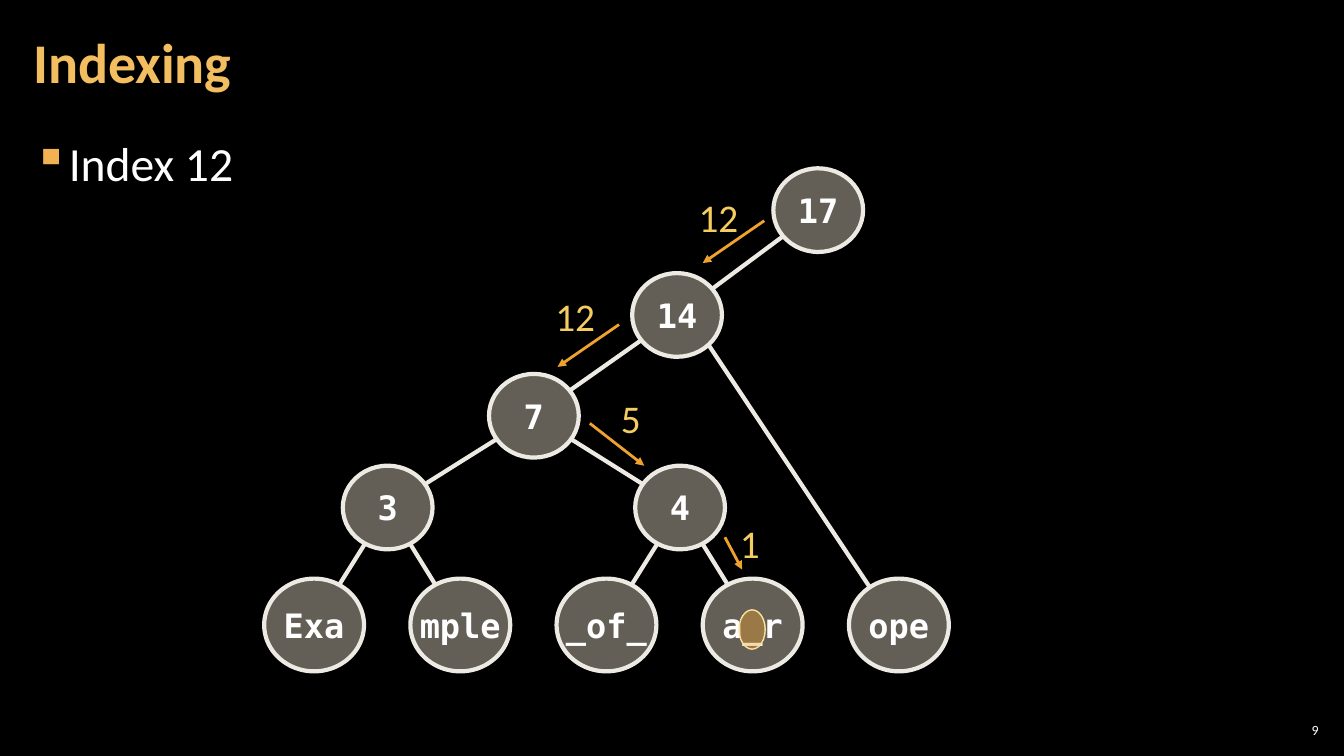
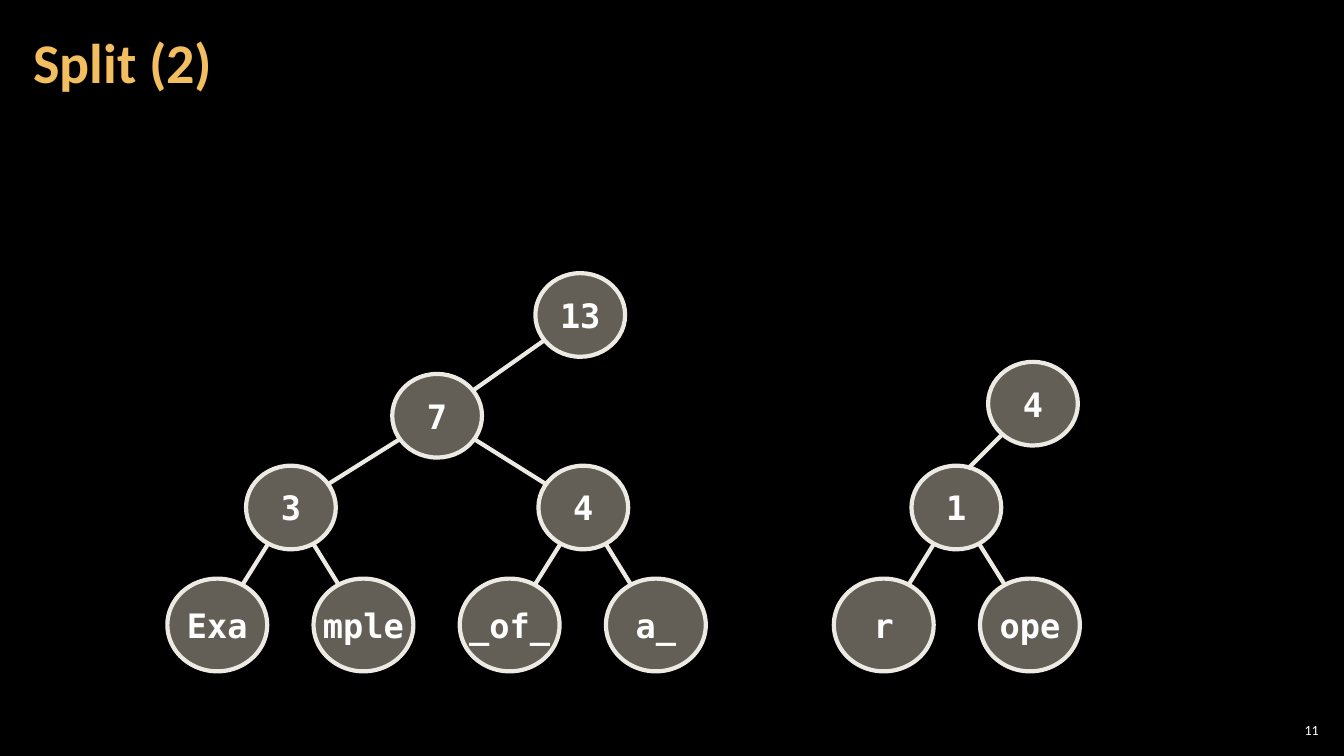
from dataclasses import dataclass
from math import hypot

from lxml.etree import SubElement
from pptx import Presentation
from pptx.dml.color import RGBColor
from pptx.enum.shapes import MSO_CONNECTOR as Connector, MSO_SHAPE as Preset
from pptx.enum.text import MSO_ANCHOR as Anchor, MSO_AUTO_SIZE as AutoSize, PP_ALIGN as Align
from pptx.oxml.ns import qn
from pptx.util import Inches, Pt

COLORS = {
    "background": "000000",
    "title": "F3BE60",
    "text": "FFFFFF",
    "bullet": "F2B254",
    "node": "C7BFAC",
    "edge": "ECEAE3",
    "arrow": "F0A22E",
    "label": "F3CD60",
    "marker_rim": "F8E19F",
}
BODY_FONT = "Calibri"
NODE_FONT = "DejaVu Sans Mono"
LEAF_TOP = 5.74
INNER_TOP = 4.62
LEAF_PITCH = 1.45


@dataclass(frozen=True)
class Node:
    text: str
    left: float
    top: float
    width: float = 0.89
    height: float = 0.83

    @property
    def center(self) -> tuple[float, float]:
        return self.left + self.width / 2, self.top + self.height / 2

    def rim_toward(self, other: "Node") -> tuple[float, float]:
        x, y = self.center
        dx, dy = other.center[0] - x, other.center[1] - y
        scale = 1 / hypot(dx / (self.width / 2), dy / (self.height / 2))
        return x + dx * scale, y + dy * scale


@dataclass(frozen=True)
class Line:
    start: tuple[float, float]
    end: tuple[float, float]


@dataclass(frozen=True)
class Step:
    text: str
    left: float
    top: float
    width: float
    arrow: Line


@dataclass(frozen=True)
class Tree:
    nodes: list[Node]
    edges: list[tuple[Node, Node]]


STEPS = [
    Step("12", 6.83, 1.87, 0.6, Line((7.58, 2.19), (6.97, 2.61))),
    Step("12", 5.41, 2.85, 0.6, Line((6.14, 3.22), (5.53, 3.64))),
    Step("5", 6.06, 3.86, 0.4, Line((5.85, 4.2), (6.39, 4.62))),
    Step("1", 7.24, 5.1, 0.4, Line((7.19, 5.33), (7.36, 5.65))),
]


def rgb(name: str) -> RGBColor:
    return RGBColor.from_string(COLORS[name])


def leaf(text: str, left: float) -> Node:
    return Node(text, left, LEAF_TOP, 0.99, 0.92)


def left_tree(left: float, root_text: str, last_leaf: str) -> Tree:
    texts = ["Exa", "mple", "_of_", last_leaf]
    leaves = [leaf(text, left + i * LEAF_PITCH) for i, text in enumerate(texts)]
    three = Node("3", left + 0.78, INNER_TOP)
    four = Node("4", left + 3.68, INNER_TOP)
    seven = Node("7", left + 2.23, 3.71)
    root = Node(root_text, left + 3.65, 2.71)
    edges = [(root, seven), (seven, three), (seven, four)]
    edges += [(three, child) for child in leaves[:2]]
    edges += [(four, child) for child in leaves[2:]]
    return Tree([root, seven, three, four, *leaves], edges)


def add_span(para, text: str, size: float, color: str, font: str = BODY_FONT, bold: bool = False) -> None:
    span = para.add_run()
    span.text = text
    span.font.name = font
    span.font.size = Pt(size)
    span.font.bold = bold
    span.font.color.rgb = rgb(color)


def set_insets(frame, across: float, down: float) -> None:
    frame.margin_left = frame.margin_right = Inches(across)
    frame.margin_top = frame.margin_bottom = Inches(down)


def add_box(page, left: float, top: float, width: float, height: float):
    return page.shapes.add_textbox(Inches(left), Inches(top), Inches(width), Inches(height))


def add_ellipse(page, node: Node, fill: str, percent: int, rim: str, rim_width: float):
    shape = page.shapes.add_shape(
        Preset.OVAL, Inches(node.left), Inches(node.top), Inches(node.width), Inches(node.height)
    )
    shape.shadow.inherit = False
    shape.fill.solid()
    shape.fill.fore_color.rgb = rgb(fill)
    color = shape.element.spPr.find(qn("a:solidFill")).find(qn("a:srgbClr"))
    SubElement(color, qn("a:alpha"), val=str(percent * 1000))
    shape.line.color.rgb = rgb(rim)
    shape.line.width = Pt(rim_width)
    return shape


def add_node(page, node: Node) -> None:
    frame = add_ellipse(page, node, "node", 50, "edge", 3).text_frame
    frame.word_wrap = False
    frame.vertical_anchor = Anchor.MIDDLE
    para = frame.paragraphs[0]
    para.alignment = Align.CENTER
    add_span(para, node.text, 24, "text", NODE_FONT, True)


def add_line(page, line: Line, color: str, width: float, arrow: bool = False) -> None:
    points = [Inches(value) for value in (*line.start, *line.end)]
    connector = page.shapes.add_connector(Connector.STRAIGHT, *points)
    connector.line.color.rgb = rgb(color)
    connector.line.width = Pt(width)
    properties = connector.element.spPr
    if arrow:
        SubElement(properties.find(qn("a:ln")), qn("a:tailEnd"), type="triangle")
    SubElement(properties, qn("a:effectLst"))


def add_tree(page, tree: Tree) -> None:
    for node in tree.nodes:
        add_node(page, node)
    for parent, child in tree.edges:
        add_line(page, Line(parent.rim_toward(child), child.rim_toward(parent)), "edge", 3)


def add_step(page, step: Step) -> None:
    add_line(page, step.arrow, "arrow", 2, True)
    frame = add_box(page, step.left, step.top, step.width, 0.57).text_frame
    frame.word_wrap = False
    frame.auto_size = AutoSize.SHAPE_TO_FIT_TEXT
    add_span(frame.paragraphs[0], step.text, 28, "label")


def add_bullet(page, text: str) -> None:
    frame = add_box(page, 0.21, 1.26, 12.91, 6.09).text_frame
    frame.word_wrap = True
    set_insets(frame, 0.12, 0.04)
    para = frame.paragraphs[0]
    para.line_spacing = 1.05
    para.space_before = para.space_after = Pt(6)
    add_span(para, text, 34, "text")
    properties = para._p.get_or_add_pPr()
    properties.set("marL", str(Inches(0.33)))
    properties.set("indent", str(-Inches(0.33)))
    color = SubElement(properties, qn("a:buClr"))
    SubElement(color, qn("a:srgbClr"), val=COLORS["bullet"])
    SubElement(properties, qn("a:buChar"), char="▪")


def add_page(deck, title: str, number: int):
    page = deck.slides.add_slide(deck.slide_layouts[5])
    holder = page.shapes.title
    holder.left, holder.top = Inches(0.21), Inches(0.04)
    holder.width, holder.height = Inches(10.47), Inches(1.21)
    frame = holder.text_frame
    frame.word_wrap = True
    frame.auto_size = AutoSize.NONE
    frame.vertical_anchor = Anchor.MIDDLE
    set_insets(frame, 0.12, 0.04)
    para = frame.paragraphs[0]
    para.alignment = Align.LEFT
    para.line_spacing = 0.9
    add_span(para, title, 40, "title", bold=True)

    footer = add_box(page, 12.65, 7.14, 0.47, 0.21).text_frame
    footer.word_wrap = True
    footer.vertical_anchor = Anchor.MIDDLE
    set_insets(footer, 0.04, 0.04)
    footer.paragraphs[0].alignment = Align.RIGHT
    add_span(footer.paragraphs[0], str(number), 10, "text")
    return page


def build_indexing(deck) -> None:
    page = add_page(deck, "Indexing", 9)
    add_bullet(page, "Index 12")
    left = 2.62
    tree = left_tree(left, "14", "a_r")
    root = Node("17", 7.67, 1.67)
    last = leaf("ope", left + 4 * LEAF_PITCH)
    add_tree(page, Tree([*tree.nodes, last, root], [*tree.edges, (root, tree.nodes[0])]))
    add_line(page, Line((7.02, 3.41), (8.63, 5.83)), "edge", 3)
    add_ellipse(page, Node("", 7.33, 6.05, 0.26, 0.39), "arrow", 40, "marker_rim", 1)
    for step in STEPS:
        add_step(page, step)


def build_split(deck) -> None:
    page = add_page(deck, "Split (2)", 11)
    add_tree(page, left_tree(1.66, "13", "a_"))
    leaves = [leaf(text, 8.27 + i * LEAF_PITCH) for i, text in enumerate(["r", "ope"])]
    one = Node("1", 9.04, INNER_TOP)
    root = Node("4", 9.8, 3.59)
    add_tree(page, Tree([root, one, *leaves], [(one, child) for child in leaves]))
    add_line(page, Line((9.94, 4.31), (9.6, 4.65)), "edge", 3)


def main() -> None:
    deck = Presentation()
    deck.slide_width, deck.slide_height = Inches(13.33), Inches(7.5)
    background = deck.slide_master.background.fill
    background.solid()
    background.fore_color.rgb = rgb("background")
    build_indexing(deck)
    build_split(deck)
    deck.save("out.pptx")


if __name__ == "__main__":
    main()
